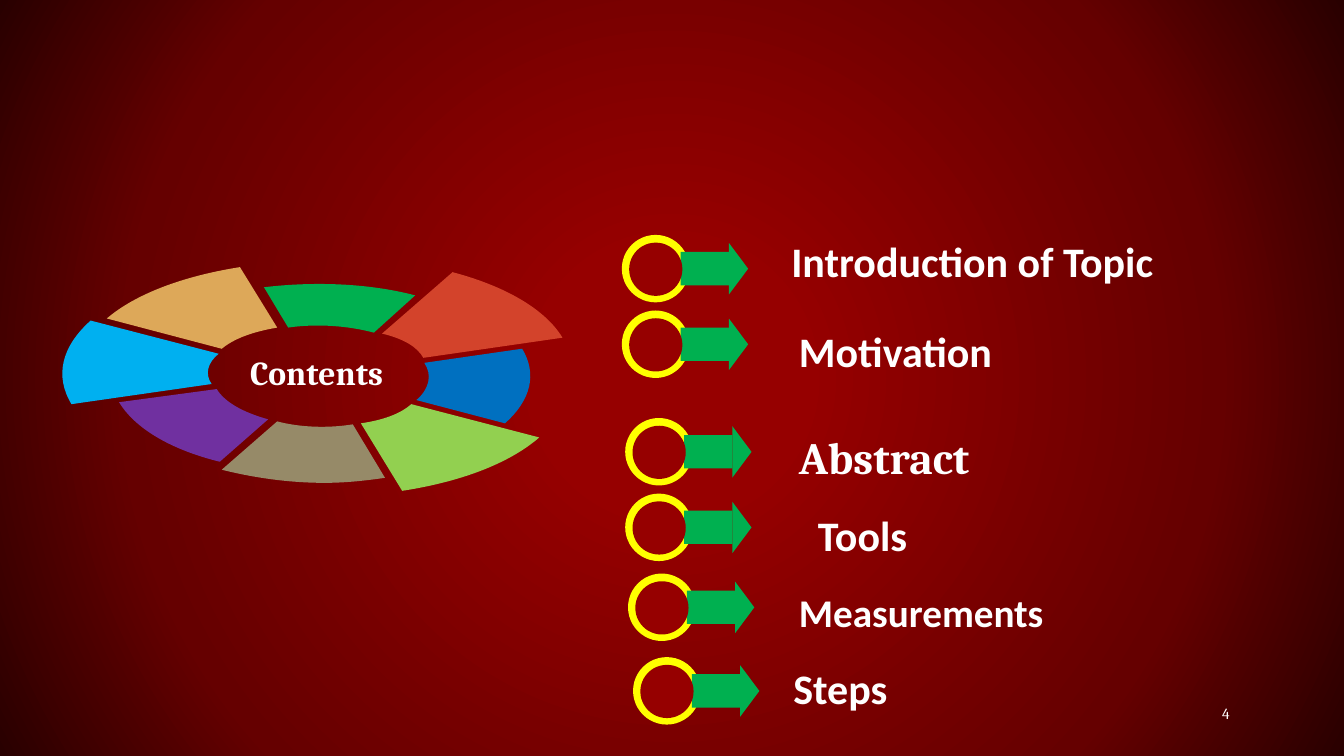
from itertools import chain
from typing import NamedTuple

from pptx import Presentation
from pptx.dml.color import RGBColor
from pptx.enum.shapes import MSO_SHAPE
from pptx.enum.text import MSO_ANCHOR, MSO_AUTO_SIZE, PP_ALIGN
from pptx.oxml import parse_xml
from pptx.oxml.ns import nsdecls, qn
from pptx.util import Pt

WHITE, YELLOW, GREEN, RED = "FFFFFF", "FFFF00", "00B050", "960000"

Point = tuple[float, float]
Arc = tuple[Point, Point, Point, Point]  # a cubic curve


class Petal(NamedTuple):
    color: str
    arcs: tuple[Arc, ...]


class Item(NamedTuple):
    text: str
    size: float
    font: str
    indent: float
    gap: float
    left: float  # of the ring
    top: float


class Part(NamedTuple):
    kind: MSO_SHAPE
    color: str
    dx: float
    dy: float
    width: float
    height: float
    turn: float = 0


PETALS = [
    Petal("D3432B", (((302.4, 255.6), (298.1, 247.7), (288, 241.9), (272.9, 238.3)),
                     ((323.3, 194.4), (361.4, 204.5), (389.5, 221), (401.8, 241.2)))),
    Petal(GREEN, (((267.1, 237.6), (248.4, 232.6), (226.1, 231.1), (205.9, 234)),
                  ((188.6, 205.2), (224.6, 200.9), (263.5, 202.3), (296.6, 211)))),
    Petal("DDA859", (((76.3, 227.5), (96.5, 210.2), (130.3, 197.3), (171.4, 190.8)),
                     ((198, 234), (180.7, 236.9), (167, 241.9), (158.4, 249.1)))),
    Petal("0070C0", (((297.4, 285.8), (306.7, 277.9), (308.9, 267.8), (303.1, 259.2)),
                     ((373, 249.1), (383.8, 267.1), (379.4, 285.8), (360.7, 302.4)))),
    Petal("00B0F0", (((51.1, 288.7), (38.9, 268.6), (43.9, 247.7), (64.8, 229)),
                     ((156.2, 252.7), (148.3, 259.2), (146.2, 267.1), (151.2, 274.3)))),
    Petal("7030A0", (((157, 329.8), (121.7, 321.1), (96.5, 306), (85, 287.3)),
                     ((154.8, 277.9), (160.6, 287.3), (173.5, 294.5), (191.5, 299.5)))),
    Petal("968A68", (((231.8, 344.9), (206.6, 344.9), (181.4, 341.3), (158.4, 335.5)),
                     ((198, 301), (214.6, 305.3), (234, 306), (252, 303.1)),
                     ((275, 341.3), (260.6, 343.4), (246.2, 344.9), (231.8, 344.9)))),
    Petal("92D050", (((257.8, 302.4), (272.9, 300.2), (285.8, 295.9), (293.8, 288.7)),
                     ((385.2, 312.5), (363.6, 331.2), (329, 344.2), (287.3, 350.6)))),
]

ITEMS = [
    Item("Introduction of Topic", 30, "Calibri", 0, 0, 444.2, 167.8),
    Item("Motivation", 30, "Calibri", 5.5, 28.2, 444.2, 221.8),
    Item("Abstract", 32, "Cambria", 5.5, 38.3, 446.6, 298.6),
    Item("Tools", 30, "Calibri", 19, 18.6, 446.6, 352.6),
    Item("Measurements", 28, "Calibri", 5.5, 20.3, 448.6, 409.7),
    Item("Steps", 30, "Calibri", 1.5, 19, 452.2, 469.4),
]

PARTS = [
    Part(MSO_SHAPE.OVAL, YELLOW, 0, 0, 48.2, 48.2),
    Part(MSO_SHAPE.RECTANGLE, GREEN, 42, 12.2, 34.6, 23.8),
    Part(MSO_SHAPE.ISOSCELES_TRIANGLE, GREEN, 65, 17.3, 36.7, 13.7, 90),
    Part(MSO_SHAPE.OVAL, RED, 5.2, 5.5, 38, 38),
]


def assign(target, values: dict) -> None:
    for name, value in values.items():
        setattr(target, name, value)


def place(shape, left: float, top: float, width: float, height: float) -> None:
    assign(shape, {"left": Pt(left), "top": Pt(top),
                   "width": Pt(width), "height": Pt(height)})


def paint(fill, color: str) -> None:
    fill.solid()
    fill.fore_color.rgb = RGBColor.from_string(color)


def finish(shape, color: str) -> None:
    """Give a shape a flat fill with no line or shadow."""
    paint(shape.fill, color)
    shape.line.fill.background()
    shape.shadow.inherit = False


def write(para, text: str, size: float, font: str, bold: bool = True) -> None:
    run = para.add_run()
    run.text = text
    assign(run.font, {"size": Pt(size), "name": font, "bold": bold})
    paint(run.font.fill, WHITE)


def shade(slide) -> None:
    """Fill the background with a radial red gradient."""
    slide.background.fill.gradient()
    grad = slide.element.find(".//" + qn("a:gradFill"))
    stops = "".join(f'<a:gs pos="{pos}000"><a:srgbClr val="{color}"/></a:gs>'
                    for pos, color in [(17, RED), (71, "650000"), (100, "290000")])
    radial = parse_xml(
        f'<a:gradFill {nsdecls("a")} rotWithShape="1"><a:gsLst>{stops}</a:gsLst>'
        '<a:path path="circle"><a:fillToRect l="50000" t="50000" r="50000" '
        'b="50000"/></a:path></a:gradFill>')
    grad.getparent().replace(grad, radial)


def bend(shape) -> None:
    """Turn the three lines after each arc's first point into one curve."""
    lines = list(shape.element.iter(qn("a:lnTo")))
    for first in range(0, len(lines), 4):
        curve = parse_xml(f'<a:cubicBezTo {nsdecls("a")}/>')
        lines[first].addprevious(curve)
        for line in lines[first:first + 3]:
            curve.append(line[0])
            line.getparent().remove(line)


def draw_petal(shapes, petal: Petal) -> None:
    start, *rest = [(Pt(x), Pt(y)) for x, y in chain(*petal.arcs)]
    outline = shapes.build_freeform(*start)
    outline.add_line_segments(rest, close=False)
    shape = outline.convert_to_shape()
    bend(shape)
    track = shape.element.find(".//" + qn("a:path"))
    track.append(parse_xml(f'<a:close {nsdecls("a")}/>'))
    finish(shape, petal.color)


def draw_mark(shapes, item: Item) -> None:
    group = shapes.add_group_shape()
    for part in PARTS:
        shape = group.shapes.add_shape(
            part.kind, Pt(item.left + part.dx), Pt(item.top + part.dy),
            Pt(part.width), Pt(part.height))
        shape.rotation = part.turn
        finish(shape, part.color)


def fill_list(body) -> None:
    frame = body.text_frame
    assign(frame, {"auto_size": MSO_AUTO_SIZE.NONE, "word_wrap": True,
                   "vertical_anchor": MSO_ANCHOR.TOP})
    for index, item in enumerate(ITEMS):
        para = frame.add_paragraph() if index else frame.paragraphs[0]
        props = para._p.get_or_add_pPr()
        props.set("marL", str(Pt(item.indent)))
        props.set("indent", "0")
        props.append(parse_xml(f'<a:buNone {nsdecls("a")}/>'))
        assign(para, {"space_before": Pt(item.gap), "alignment": PP_ALIGN.LEFT})
        write(para, item.text, item.size, item.font)


def main() -> None:
    deck = Presentation()
    assign(deck, {"slide_width": Pt(960), "slide_height": Pt(540)})
    slide = deck.slides.add_slide(deck.slide_layouts[1])
    shapes = slide.shapes
    shade(slide)

    for petal in PETALS:
        draw_petal(shapes, petal)
    for item in ITEMS:
        draw_mark(shapes, item)

    title, body = slide.placeholders
    place(title, 154.8, 247.7, 142.6, 36)
    assign(title.text_frame, {"auto_size": MSO_AUTO_SIZE.NONE, "word_wrap": True})
    write(title.text_frame.paragraphs[0], "Contents", 24, "Cambria")
    place(body, 558, 164.9, 380, 365)
    fill_list(body)

    number = shapes.add_textbox(Pt(822.2), Pt(501.8), Pt(65.5), Pt(15.1))
    assign(number.text_frame, {
        "word_wrap": True, "vertical_anchor": MSO_ANCHOR.MIDDLE,
        "margin_left": Pt(9.4), "margin_right": Pt(9.4),
        "margin_top": Pt(5), "margin_bottom": Pt(5)})
    para = number.text_frame.paragraphs[0]
    para.alignment = PP_ALIGN.RIGHT
    write(para, "4", 11, "Cambria", bold=False)
    deck.save("out.pptx")


if __name__ == "__main__":
    main()
